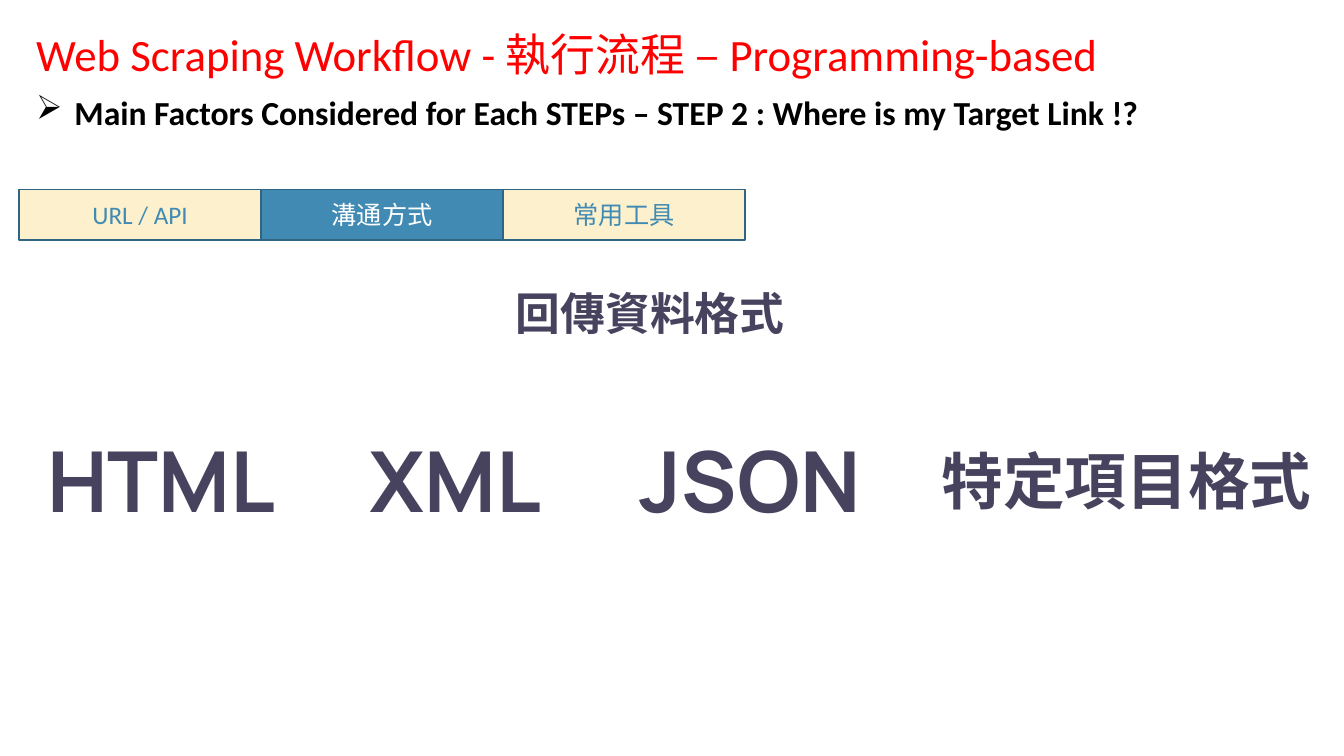
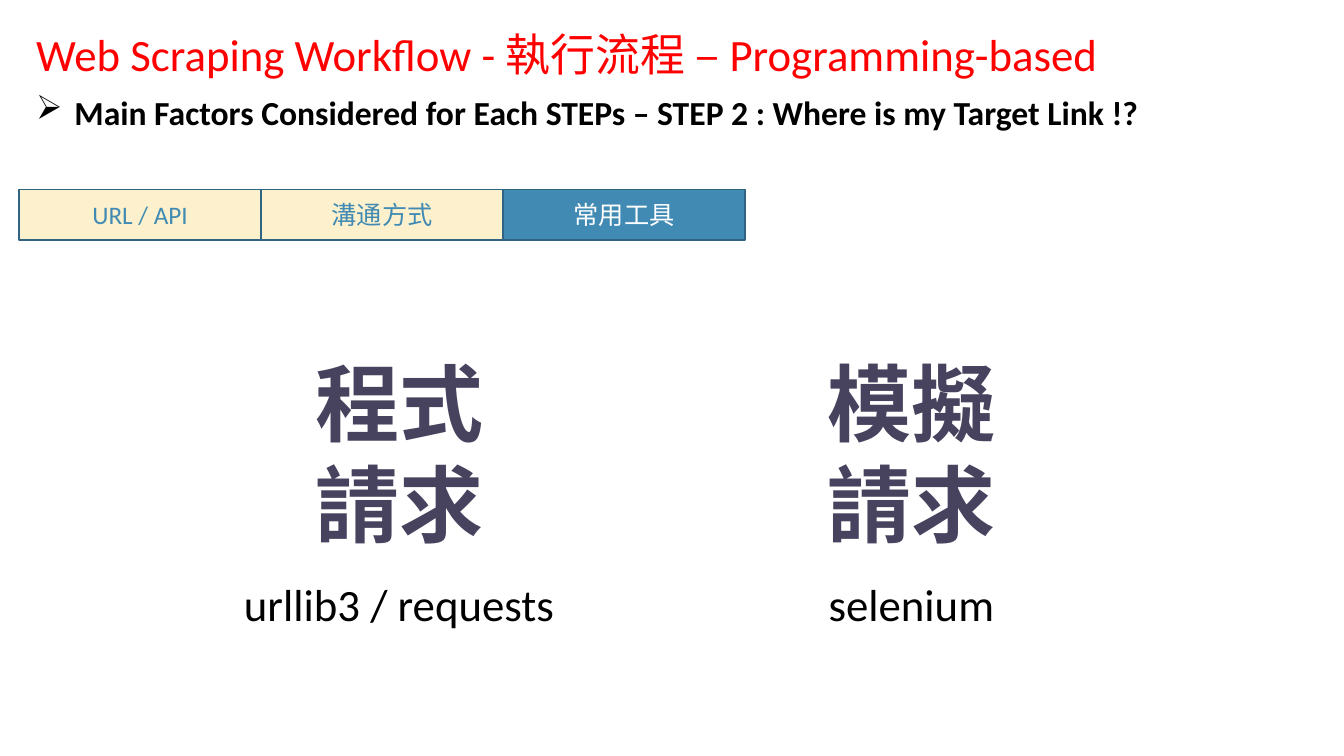
import pptx
import pptx.dml.color
import pptx.enum.shapes
import pptx.enum.text
import pptx.oxml.ns
import pptx.util
import lxml.etree

Inches = pptx.util.Inches
LATIN, HAN, SHOW = "Calibri", "Noto Sans CJK TC", "Manrope"
RED, BLACK, WHITE = "FF0000", "000000", "FFFFFF"
CREAM, BLUE, NAVY, PLUM = "FCF1CC", "418AB3", "2F6482", "47425D"
ALIGN = pptx.enum.text.PP_ALIGN
HEAD = dict(size=32, name=LATIN, color=RED)
LEAD = dict(size=24, name=LATIN, color=BLACK, bold=True)
TAB = dict(size=18, name=LATIN)
TOPIC = dict(size=32, name=HAN, color=PLUM, bold=True)
LARGE = dict(size=60, name=SHOW, color=PLUM, bold=True)
NOTE = dict(size=32, name=LATIN, color=BLACK)
STEPS = ["URL / API", "溝通方式", "常用工具"]


def hue(code):
    return pptx.dml.color.RGBColor.from_string(code)


class Deck:
    """Holds the shared style and the current slide."""

    def __init__(self):
        self.file = pptx.Presentation()
        self.file.slide_width = Inches(13.33)
        self.file.slide_height = Inches(7.5)
        self.slide = None

    def page(self, step):
        self.slide = self.file.slides.add_slide(self.file.slide_layouts[6])
        self.text("Web Scraping Workflow - 執行流程 – Programming-based",
                  0.26, 0.22, 11.43, 0.64, HEAD, ALIGN.LEFT)
        lead = self.text("Main Factors Considered for Each STEPs – STEP 2 : Where is my Target Link !?",
                         0.26, 0.86, 11.43, 0.5, LEAD, ALIGN.LEFT)
        self.mark(lead)
        self.tabs(step)

    def label(self, frame, words, style, align):
        frame.word_wrap = True
        para = frame.paragraphs[0]
        para.alignment = align
        run = para.add_run()
        run.text = words
        form = dict(style, size=pptx.util.Pt(style["size"]))
        run.font.fill.solid()
        run.font.fill.fore_color.rgb = hue(form.pop("color"))
        for key, value in form.items():
            setattr(run.font, key, value)
        east = lxml.etree.SubElement(run.font._element, pptx.oxml.ns.qn("a:ea"))
        east.set("typeface", HAN)
        return para

    def text(self, words, left, top, width, height, style, align=ALIGN.CENTER):
        box = self.slide.shapes.add_textbox(*map(Inches, (left, top, width, height)))
        return self.label(box.text_frame, words, style, align)

    def mark(self, para):
        props = para._p.get_or_add_pPr()
        props.set("marL", str(Inches(0.38)))
        props.set("indent", str(-Inches(0.38)))
        lxml.etree.SubElement(props, pptx.oxml.ns.qn("a:buChar")).set("char", "➢")

    def tabs(self, step):
        for i, name in enumerate(STEPS):
            back, ink = (BLUE, WHITE) if name == step else (CREAM, BLUE)
            tab = self.slide.shapes.add_shape(
                pptx.enum.shapes.MSO_SHAPE.RECTANGLE,
                *map(Inches, (0.19 + 2.4 * i, 1.88, 2.4, 0.5)))
            tab.shadow.inherit = False
            tab.fill.solid()
            tab.fill.fore_color.rgb = hue(back)
            tab.line.color.rgb = hue(NAVY)
            tab.line.width = pptx.util.Pt(1)
            tab.text_frame.vertical_anchor = pptx.enum.text.MSO_ANCHOR.MIDDLE
            self.label(tab.text_frame, name, dict(TAB, color=ink), ALIGN.CENTER)


def main():
    deck = Deck()
    deck.page("溝通方式")
    deck.text("回傳資料格式", 2.72, 2.79, 7.46, 0.64, TOPIC)
    for i, name in enumerate(["HTML", "XML", "JSON"]):
        deck.text(name, 0.31 + 2.92 * i, 4.2, 2.58, 1.11, LARGE)
    deck.text("特定項目格式", 9.05, 4.34, 4.25, 0.84, dict(LARGE, size=44))

    deck.page("常用工具")
    pairs = [("程式請求", "urllib3 / requests"), ("模擬請求", "selenium")]
    for i, (way, tool) in enumerate(pairs):
        mid = 3.96 + 5.08 * i
        deck.text(way, mid - 1.2, 3.44, 2.4, 2.12, LARGE)
        deck.text(tool, mid - 1.8, 5.67, 3.6, 0.64, NOTE)
    deck.file.save("out.pptx")


if __name__ == "__main__":
    main()
